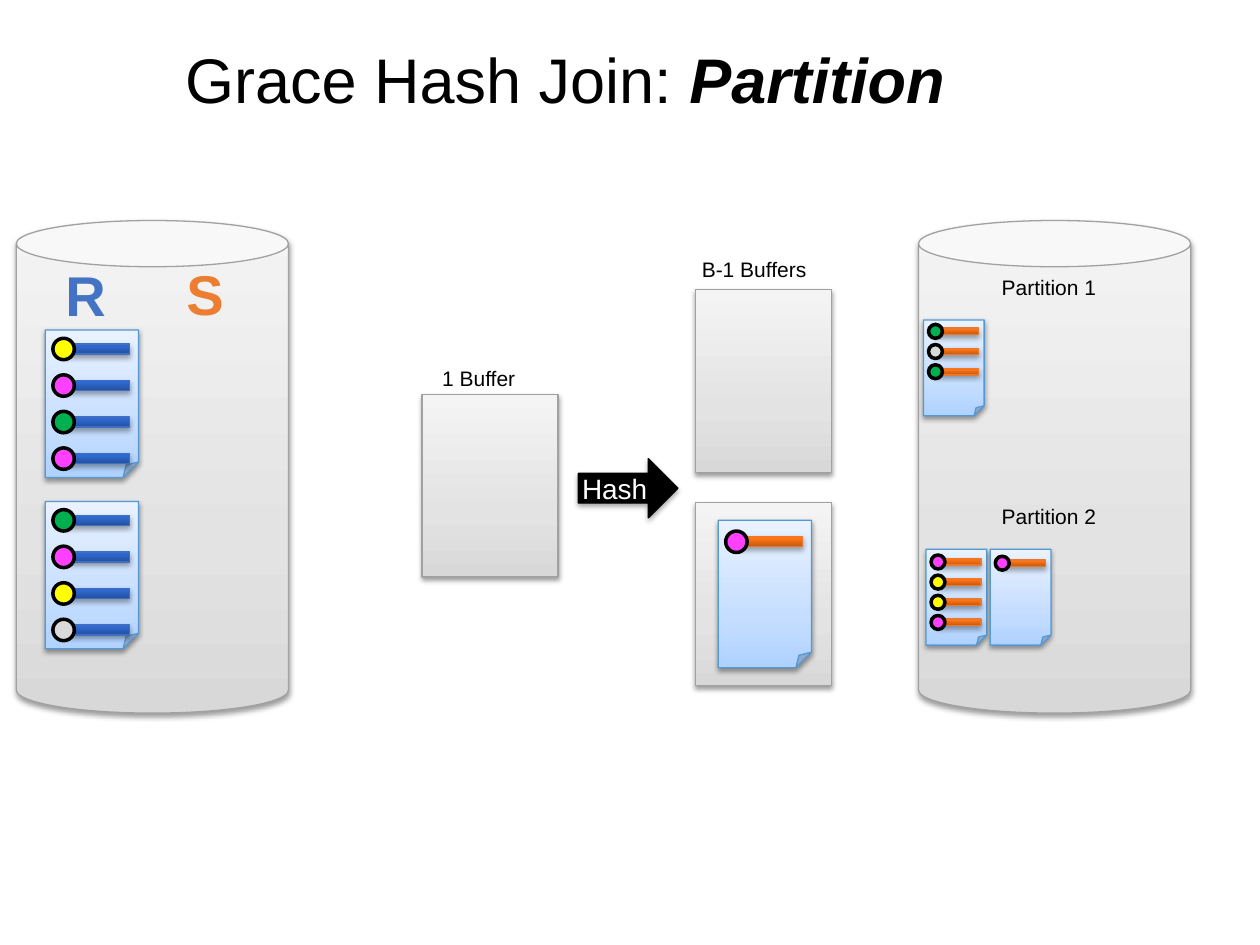
"""Build the slide on the partition phase of the Grace hash join."""
import lxml.etree
import pptx
import pptx.dml.color
import pptx.enum.shapes
import pptx.enum.text
import pptx.oxml.ns
import pptx.util

Inches = pptx.util.Inches
Kind = pptx.enum.shapes.MSO_SHAPE
qn = pptx.oxml.ns.qn

COLORS = {
    "black": "000000", "white": "FFFFFF", "R": "4472C4", "S": "ED7D31",
    "green": "00B050", "pink": "FF40FF", "yellow": "FFFF00", "gray": "D9D9D9",
    "disk edge": "A1A1A1", "page edge": "5698D3",
    "R edge": "3F6EC3", "S edge": "EC792B",
}
GRADES = {
    "disk": {0: "D8D8D8", 35: "E3E3E3", 100: "F4F4F4"},
    "page": {0: "AFD2FF", 35: "C6DEFF", 100: "E9F2FF"},
    "R": {0: "24509E", 80: "2F69D0", 100: "2C69D4"},
    "S": {0: "C3580F", 80: "FF7416", 100: "FF7517"},
}


def rgb(name):
    return pptx.dml.color.RGBColor.from_string(COLORS[name])


def add_shape(shapes, kind, box, edge, width=0.75):
    shape = shapes.add_shape(kind, *map(Inches, box))
    shape.shadow.inherit = False
    shape.line.color.rgb = rgb(edge)
    shape.line.width = pptx.util.Pt(width)
    return shape


def paint(shape, color):
    shape.fill.solid()
    shape.fill.fore_color.rgb = rgb(color)


def grade(shape, name):
    shape.fill.gradient()
    shape.fill.gradient_angle = 90
    stops = shape._element.spPr.find(qn("a:gradFill")).find(qn("a:gsLst"))
    for stop in list(stops):
        stops.remove(stop)
    for place, color in GRADES[name].items():
        stop = lxml.etree.SubElement(stops, qn("a:gs"), pos=str(place * 1000))
        lxml.etree.SubElement(stop, qn("a:srgbClr"), val=color)


def shade(shape, alpha=38, gap=1.6):
    effects = shape._element.spPr.find(qn("a:effectLst"))
    outer = lxml.etree.SubElement(
        effects, qn("a:outerShdw"), blurRad=str(pptx.util.Pt(3)),
        dist=str(pptx.util.Pt(gap)), dir="5400000", rotWithShape="0")
    color = lxml.etree.SubElement(outer, qn("a:srgbClr"), val=COLORS["black"])
    lxml.etree.SubElement(color, qn("a:alpha"), val=str(alpha * 1000))


def add_disk(shapes, left):
    disk = add_shape(shapes, Kind.CAN, (left, 1.75, 2.16, 3.91), "disk edge")
    disk.adjustments[0] = 0.17
    grade(disk, "disk")
    shade(disk)


def add_buffer(shapes, left, top):
    box = (left, top, 1.08, 1.45)
    buffer = add_shape(shapes, Kind.RECTANGLE, box, "disk edge")
    grade(buffer, "disk")
    shade(buffer)


def add_tuple(shapes, left, mid, scale, table, key):
    bar = add_shape(shapes, Kind.RECTANGLE,
                    (left + 0.15 * scale, mid - 0.04 * scale,
                     0.52 * scale, 0.08 * scale), table + " edge")
    grade(bar, table)
    shade(bar, 35, 1.8)
    size = 0.17 * scale
    dot = add_shape(shapes, Kind.OVAL,
                    (left + 0.06 * scale, mid - size / 2, size, size),
                    "black", 2)
    paint(dot, key)


def add_page(shapes, left, top, scale, table, keys, first=0.15, step=0.29):
    group = shapes.add_group_shape().shapes
    sheet = add_shape(group, Kind.FOLDED_CORNER,
                      (left, top, 0.74 * scale, 1.17 * scale), "page edge")
    grade(sheet, "page")
    shade(sheet)
    for row, key in enumerate(keys.split()):
        add_tuple(group, left, top + first + row * step, scale, table, key)


def set_inset(frame):
    frame.margin_left = frame.margin_right = Inches(0.05)
    frame.margin_top = frame.margin_bottom = Inches(0.05)


def set_font(font, size, color):
    font.name = "Arial"
    font.size = pptx.util.Pt(size)
    font.color.rgb = rgb(color)


def add_label(shapes, text, box, size=12, color="black", bold=False):
    frame = shapes.add_textbox(*map(Inches, box)).text_frame
    set_inset(frame)
    frame.word_wrap = False
    frame.auto_size = pptx.enum.text.MSO_AUTO_SIZE.SHAPE_TO_FIT_TEXT
    line = frame.paragraphs[0]
    line.text = text
    set_font(line.font, size, color)
    line.font.bold = bold


def set_title(title):
    title.left, title.top, title.width, title.height = map(
        Inches, (1.42, 0, 7.83, 1.25))
    frame = title.text_frame
    set_inset(frame)
    frame.vertical_anchor = pptx.enum.text.MSO_ANCHOR.MIDDLE
    line = frame.paragraphs[0]
    line.alignment = pptx.enum.text.PP_ALIGN.LEFT
    set_font(line.font, 36, "black")
    line.add_run().text = "Grace Hash Join:"
    phase = line.add_run()
    phase.text = " Partition"
    phase.font.bold = phase.font.italic = True


def add_arrow(shapes):
    arrow = add_shape(shapes, Kind.RIGHT_ARROW, (4.59, 3.64, 0.79, 0.47), "black")
    paint(arrow, "black")
    shade(arrow, 35, 1.8)
    add_label(shapes, "Hash", (4.57, 3.69, 0.63, 0.34), 16, "white")


def main():
    deck = pptx.Presentation()
    deck.slide_width, deck.slide_height = Inches(10), Inches(7.5)
    slide = deck.slides.add_slide(deck.slide_layouts[5])
    shapes = slide.shapes
    set_title(shapes.title)

    for left in (0.13, 7.29):
        add_disk(shapes, left)
    for left, top in ((5.52, 2.3), (5.52, 3.99), (3.35, 3.13)):
        add_buffer(shapes, left, top)
    add_arrow(shapes)

    add_label(shapes, "B-1 Buffers", (5.52, 1.99, 0.96, 0.29))
    add_label(shapes, "1 Buffer", (3.46, 2.85, 0.7, 0.29))
    add_label(shapes, "Partition 1", (7.9, 2.13, 0.87, 0.29))
    add_label(shapes, "Partition 2", (7.9, 3.95, 0.87, 0.29))
    add_label(shapes, "R", (0.47, 2.02, 0.43, 0.63), 32, "R", True)
    add_label(shapes, "S", (1.43, 2.01, 0.4, 0.63), 32, "S", True)

    add_page(shapes, 0.36, 2.62, 1, "R", "yellow pink green pink")
    add_page(shapes, 0.36, 3.98, 1, "R", "green pink yellow gray")
    add_page(shapes, 5.7, 4.13, 1, "S", "pink", 0.17)
    small = 0.65
    add_page(shapes, 7.33, 2.54, small, "S", "green gray green", 0.09, 0.16)
    add_page(shapes, 7.35, 4.36, small, "S", "pink yellow yellow pink", 0.1, 0.16)
    add_page(shapes, 7.86, 4.36, small, "S", "pink", 0.11)
    deck.save("out.pptx")


if __name__ == "__main__":
    main()
